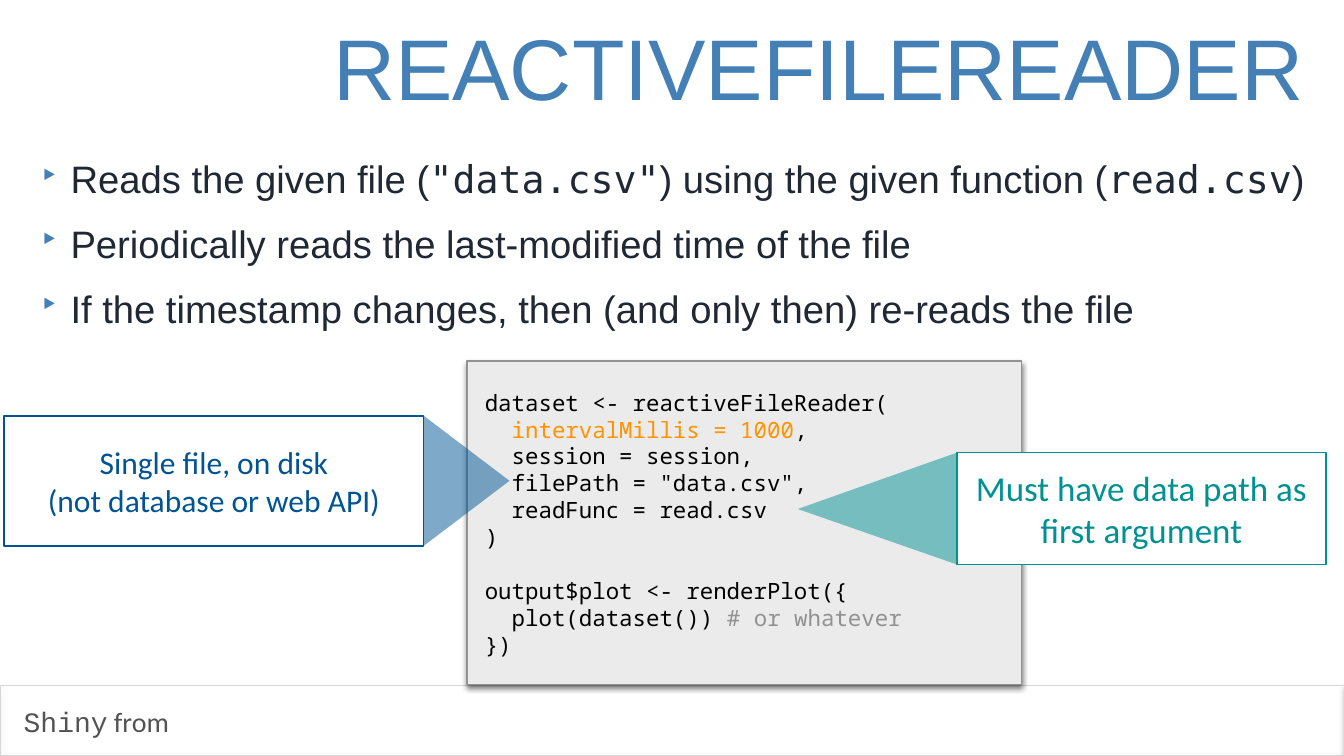
from dataclasses import dataclass

from lxml.etree import SubElement
from pptx import Presentation
from pptx.dml.color import RGBColor
from pptx.enum.shapes import MSO_SHAPE
from pptx.enum.text import MSO_ANCHOR, MSO_AUTO_SIZE, PP_ALIGN
from pptx.oxml.ns import qn
from pptx.util import Inches, Pt


@dataclass(frozen=True)
class Theme:
    accent: str = "447FB5"
    ink: str = "202833"
    code_ink: str = "000000"
    highlight: str = "FF9300"
    comment: str = "919191"
    panel: str = "EBEBEB"
    panel_edge: str = "929292"
    footer_ink: str = "535353"
    footer_edge: str = "D6D6D6"
    paper: str = "FFFFFF"
    file_note: str = "005493"
    path_note: str = "009193"
    title_size: float = 123
    body_size: float = 54.6
    code_size: float = 32
    code_pitch: float = 38.4
    footer_size: float = 40
    sans: str = "Arial"
    note_font: str = "Calibri"
    inline_code: str = "DejaVu Sans Mono"
    listing: str = "Noto Sans Mono"
    footer_code: str = "Courier New"


THEME = Theme()
WIDTH, HEIGHT = Inches(26.67), Inches(15)
COLUMNS, ROWS = 100, 100

TITLE = "REACTIVEFILEREADER"
INLINE = {"font": THEME.inline_code}
POINTS = [
    ["Reads the given file (", ('"data.csv"', INLINE),
     ") using the given function (", ("read.csv", INLINE), ")"],
    ["Periodically reads the last-modified time of the file"],
    ["If the timestamp changes, then (and only then) re-reads the file"],
]
READER_CODE = [
    ["dataset <- reactiveFileReader("],
    ["  ", ("intervalMillis = 1000", {"color": THEME.highlight}), ","],
    ["  session = session,"],
    ['  filePath = "data.csv",'],
    ["  readFunc = read.csv"],
    [")"],
]
PLOT_CODE = [
    ["output$plot <- renderPlot({"],
    ["  plot(dataset()) ", ("# or whatever", {"color": THEME.comment})],
    ["})"],
]
FOOTER = [[("Shiny", {"font": THEME.footer_code}), " from"]]
CALLOUTS = [
    {"lines": [["Single file, on disk"], ["(not database or web API)"]],
     "cells": (0.3, 55, 31.23, 17.2), "tip": (37.91, 63.6),
     "color": THEME.file_note, "size": 45},
    {"lines": [["Must have data path as first argument"]],
     "cells": (71.2, 59.87, 27.45, 14.8), "tip": (59.36, 67.33),
     "color": THEME.path_note, "size": 50},
]


def place(column, row):
    return round(WIDTH * column / COLUMNS), round(HEIGHT * row / ROWS)


def area(left, top, width, height):
    return *place(left, top), *place(width, height)


def add_bullet(paragraph):
    properties = paragraph._p.get_or_add_pPr()
    properties.set("marL", str(Inches(0.61)))
    properties.set("indent", str(-Inches(0.61)))
    tint = SubElement(properties, qn("a:buClr"))
    SubElement(tint, qn("a:srgbClr"), val=THEME.accent)
    SubElement(properties, qn("a:buSzPct"), val="82000")
    SubElement(properties, qn("a:buChar"), char="‣")


def write(frame, lines, *, font, size, color, align=PP_ALIGN.LEFT,
          anchor=MSO_ANCHOR.MIDDLE, wrap=True, bullet=False,
          before=0, pitch=None, gaps=None):
    frame.word_wrap = wrap
    frame.auto_size = MSO_AUTO_SIZE.NONE
    frame.vertical_anchor = anchor
    frame.margin_left = frame.margin_right = Inches(0.06)
    frame.margin_top = frame.margin_bottom = Inches(0.06)
    for index, line in enumerate(lines):
        paragraph = frame.add_paragraph() if index else frame.paragraphs[0]
        if bullet:
            add_bullet(paragraph)
        paragraph.alignment = align
        paragraph.space_before = Pt((gaps or {}).get(index, before if index else 0))
        if pitch:
            paragraph.line_spacing = Pt(pitch)
        for part in line:
            text, changes = (part, {}) if isinstance(part, str) else part
            run = paragraph.add_run()
            run.text = text
            run.font.name = changes.get("font", font)
            run.font.size = Pt(size)
            run.font.color.rgb = RGBColor.from_string(changes.get("color", color))


def paint(shape, fill=None, edge=None, edge_width=2):
    shape.shadow.inherit = False
    if fill:
        shape.fill.solid()
        shape.fill.fore_color.rgb = RGBColor.from_string(fill)
    else:
        shape.fill.background()
    if edge:
        shape.line.color.rgb = RGBColor.from_string(edge)
        shape.line.width = Pt(edge_width)
    else:
        shape.line.fill.background()


def cast_shadow(shape, blur, distance, opacity):
    effects = shape._element.spPr.find(qn("a:effectLst"))
    shadow = SubElement(effects, qn("a:outerShdw"), blurRad=str(Pt(blur)),
                        dist=str(Pt(distance)), dir="5400000", rotWithShape="0")
    tint = SubElement(shadow, qn("a:srgbClr"), val="000000")
    SubElement(tint, qn("a:alpha"), val=str(opacity * 1000))


def add_callout(shapes, lines, cells, tip, color, size):
    left, top, width, height = cells
    label = shapes.add_shape(MSO_SHAPE.RECTANGLE, *area(*cells))
    paint(label, THEME.paper, color)
    write(label.text_frame, lines, font=THEME.note_font, size=size,
          color=color, align=PP_ALIGN.CENTER)
    near_edge = left + width if tip[0] > left else left
    outline = shapes.build_freeform(*place(*tip))
    outline.add_line_segments([place(near_edge, top + height), place(near_edge, top)])
    pointer = outline.convert_to_shape()
    paint(pointer, color)
    tint = pointer._element.spPr.find(qn("a:solidFill"))[0]
    SubElement(tint, qn("a:alpha"), val="50000")


def main():
    deck = Presentation()
    deck.slide_width, deck.slide_height = WIDTH, HEIGHT
    slide = deck.slides.add_slide(deck.slide_layouts[5])
    shapes = slide.shapes

    title = shapes.title
    title.left, title.top, title.width, title.height = area(2.74, 1.53, 94.53, 14.53)
    write(title.text_frame, [[TITLE]], font=THEME.sans, size=THEME.title_size,
          color=THEME.accent, align=PP_ALIGN.RIGHT)

    footer_bar = shapes.add_shape(MSO_SHAPE.RECTANGLE, *area(0.04, 90.67, 100, 9.27))
    paint(footer_bar, edge=THEME.footer_edge, edge_width=1)
    cast_shadow(footer_bar, 4, 1.6, 50)
    footer = shapes.add_textbox(*area(1.54, 92.87, 11.3, 5.2))
    write(footer.text_frame, FOOTER, font=THEME.note_font, size=THEME.footer_size,
          color=THEME.footer_ink, wrap=False)

    points = shapes.add_textbox(*area(2.74, 20.2, 96, 29))
    write(points.text_frame, POINTS, font=THEME.sans, size=THEME.body_size,
          color=THEME.ink, anchor=MSO_ANCHOR.TOP, bullet=True, before=27)

    code_panel = shapes.add_shape(MSO_SHAPE.RECTANGLE, *area(34.76, 47.73, 41.24, 42.8))
    paint(code_panel, THEME.panel, THEME.panel_edge)
    cast_shadow(code_panel, 8, 4, 55)
    code = shapes.add_textbox(*area(35.85, 50.87, 39.52, 36.67))
    write(code.text_frame, READER_CODE + PLOT_CODE, font=THEME.listing,
          size=THEME.code_size, color=THEME.code_ink, pitch=THEME.code_pitch,
          gaps={len(READER_CODE): THEME.code_pitch})

    for callout in CALLOUTS:
        add_callout(shapes, **callout)

    deck.save("out.pptx")


if __name__ == "__main__":
    main()
